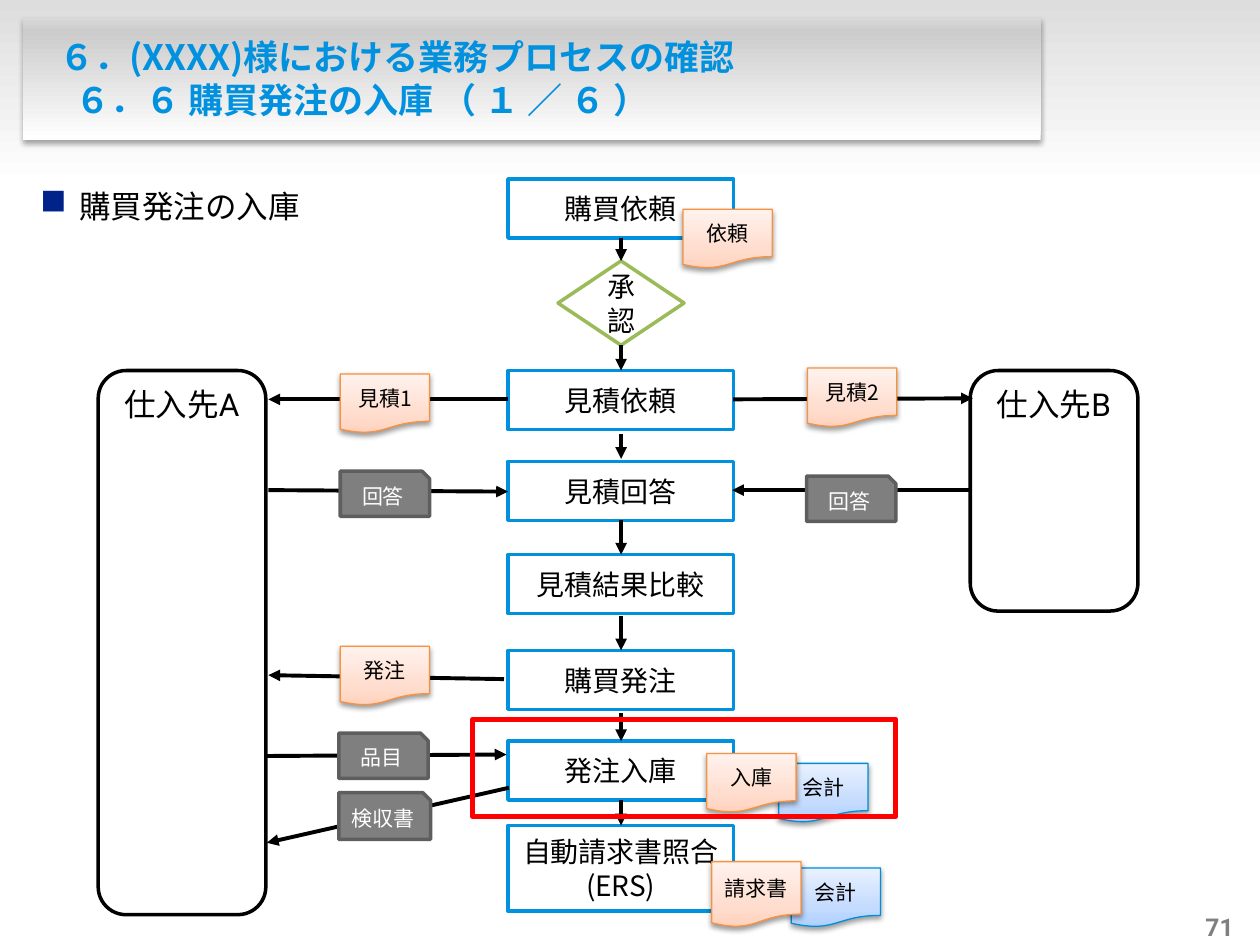
"""Build the purchase-order goods receipt flow slide."""
from dataclasses import dataclass
from typing import Optional

from pptx import Presentation
from pptx.dml.color import RGBColor
from pptx.enum.shapes import MSO_CONNECTOR, MSO_SHAPE
from pptx.enum.text import MSO_ANCHOR, MSO_AUTO_SIZE, PP_ALIGN
from pptx.oxml import parse_xml
from pptx.oxml.ns import nsdecls, qn
from pptx.util import Cm, Pt

BLACK = RGBColor(0x00, 0x00, 0x00)
WHITE = RGBColor(0xFF, 0xFF, 0xFF)
BLUE = RGBColor(0x01, 0x91, 0xDE)
GREEN = RGBColor(0x9B, 0xBB, 0x59)
RED = RGBColor(0xFF, 0x00, 0x00)
NAVY = RGBColor(0x00, 0x22, 0x89)
GRAY = RGBColor(0x7F, 0x7F, 0x7F)
DARK_GRAY = RGBColor(0x5E, 0x5E, 0x5E)
ORANGE = RGBColor(0xF6, 0x92, 0x40)
ACCOUNT_BLUE = RGBColor(0x00, 0x8E, 0xDA)
BAND_STOPS = ((0, RGBColor(0xDD, 0xDD, 0xDD)), (100, WHITE))
PANEL_STOPS = ((0, WHITE), (89, RGBColor(0xCC, 0xCC, 0xCC)), (100, RGBColor(0xD9, 0xD9, 0xD9)))
ORANGE_STOPS = ((0, RGBColor(0xFF, 0xD2, 0xBD)), (35, RGBColor(0xFF, 0xDE, 0xD0)),
                (100, RGBColor(0xFF, 0xF2, 0xED)))
BLUE_STOPS = ((0, RGBColor(0xAD, 0xCF, 0xFF)), (35, RGBColor(0xC5, 0xDC, 0xFF)),
              (100, RGBColor(0xE9, 0xF1, 0xFF)))
JAPANESE_FONT, LATIN_FONT = "Noto Sans CJK JP", "Roboto"
STEP_LEFT, STEP_WIDTH, STEP_HEIGHT, FLOW_CENTER = 10.24, 4.55, 1.19, 12.52


@dataclass(frozen=True)
class Box:
    left: float
    top: float
    width: float
    height: float

    def lengths(self) -> tuple:
        return Cm(self.left), Cm(self.top), Cm(self.width), Cm(self.height)


@dataclass(frozen=True)
class Style:
    preset: MSO_SHAPE
    line: Optional[RGBColor]
    line_width: float = 2
    fill: Optional[RGBColor] = WHITE
    stops: tuple = ()
    angle: int = 270
    shadow_alpha: int = 0
    size: int = 16
    color: RGBColor = BLACK
    anchor: MSO_ANCHOR = MSO_ANCHOR.MIDDLE
    side_margin: float = 0.25


BAND = Style(MSO_SHAPE.RECTANGLE, None, stops=BAND_STOPS, angle=90)
PANEL = Style(MSO_SHAPE.RECTANGLE, None, stops=PANEL_STOPS, shadow_alpha=35)
STEP = Style(MSO_SHAPE.RECTANGLE, BLUE)
DECISION = Style(MSO_SHAPE.FLOWCHART_DECISION, GREEN)
SUPPLIER = Style(MSO_SHAPE.ROUNDED_RECTANGLE, BLACK, size=18, anchor=MSO_ANCHOR.TOP)
DOCUMENT = Style(MSO_SHAPE.FLOWCHART_DOCUMENT, ORANGE, 0.75, stops=ORANGE_STOPS,
                 shadow_alpha=38, size=12, side_margin=0.1)
ACCOUNT = Style(MSO_SHAPE.FLOWCHART_DOCUMENT, ACCOUNT_BLUE, 0.75, stops=BLUE_STOPS,
                shadow_alpha=38, size=12, side_margin=0.1)
TAG = Style(MSO_SHAPE.SNIP_1_RECTANGLE, DARK_GRAY, fill=GRAY, size=12, color=WHITE, side_margin=0.1)
HIGHLIGHT = Style(MSO_SHAPE.RECTANGLE, RED, 3, fill=None)

STEPS = (("購買依頼", 3.61), ("見積依頼", 7.47), ("見積回答", 9.3),
         ("見積結果比較", 11.18), ("購買発注", 13.11), ("発注入庫", 14.94))
DOWN_ARROWS = ((4.8, 5.26), (6.96, 7.47), (8.74, 9.25), (10.49, 11.18),
               (12.42, 13.11), (14.38, 14.94), (16.13, 16.64))
SUPPLIERS = (("A", 1.98, 10.97), ("B", 19.56, 4.85))
SIDE_ARROWS = ((10.24, 8.05, 5.41, 8.05), (10.16, 13.69, 5.41, 13.61),
               (19.56, 9.88, 14.76, 9.88), (5.41, 9.88, 10.24, 9.91),
               (5.38, 15.24, 10.21, 15.21), (10.26, 15.88, 5.38, 16.99),
               (14.78, 8.05, 19.61, 8.03))
ITEMS = (
    (ACCOUNT, "会計", Box(15.95, 17.5, 1.8, 1.19)),
    (ACCOUNT, "会計", Box(15.7, 15.39, 1.8, 1.19)),
    (DOCUMENT, "請求書", Box(14.35, 17.37, 1.8, 1.32)),
    (DOCUMENT, "入庫", Box(14.25, 15.19, 1.8, 1.19)),
    (DOCUMENT, "発注", Box(6.86, 13.03, 1.8, 1.19)),
    (DOCUMENT, "見積1", Box(6.86, 7.54, 1.8, 1.19)),
    (DOCUMENT, "見積2", Box(16.28, 7.42, 1.8, 1.19)),
    (DOCUMENT, "依頼", Box(13.77, 4.22, 1.8, 1.19)),
    (TAG, "回答", Box(6.86, 9.5, 1.8, 0.91)),
    (TAG, "回答", Box(16.26, 9.6, 1.8, 0.91)),
    (TAG, "品目", Box(6.83, 14.78, 1.8, 0.91)),
    (TAG, "検収書", Box(6.83, 15.98, 1.85, 0.94)),
)


def format_run(run, size: float, color: RGBColor, bold: bool = False, font: str = JAPANESE_FONT) -> None:
    run.font.size, run.font.bold, run.font.name = Pt(size), bold, font
    run.font.color.rgb = color
    run.font._element.find(qn("a:latin")).addnext(
        parse_xml(f'<a:ea {nsdecls("a")} typeface="{JAPANESE_FONT}"/>'))


def format_text(frame, size: float, color: RGBColor, align: PP_ALIGN, spacing: float, bold: bool = False) -> None:
    for paragraph in frame.paragraphs:
        paragraph.alignment = align
        paragraph.line_spacing = Pt(spacing)
        for run in paragraph.runs:
            format_run(run, size, color, bold)


def set_gradient(shape, stops: tuple, angle: int) -> None:
    shape.fill.background()
    marks = "".join(f'<a:gs pos="{position * 1000}"><a:srgbClr val="{color}"/></a:gs>'
                    for position, color in stops)
    properties = shape.element.spPr
    properties.replace(properties.find(qn("a:noFill")), parse_xml(
        f'<a:gradFill {nsdecls("a")} rotWithShape="1"><a:gsLst>{marks}</a:gsLst>'
        f'<a:lin ang="{angle * 60000}" scaled="0"/></a:gradFill>'))


def draw_shape(slide, style: Style, box: Box, text: str = ""):
    shape = slide.shapes.add_shape(style.preset, *box.lengths())
    shape.shadow.inherit = False
    if style.stops:
        set_gradient(shape, style.stops, style.angle)
    elif style.fill is None:
        shape.fill.background()
    else:
        shape.fill.solid()
        shape.fill.fore_color.rgb = style.fill
    if style.line is None:
        shape.line.fill.background()
    else:
        shape.line.color.rgb = style.line
        shape.line.width = Pt(style.line_width)
    if style.shadow_alpha:
        shape.element.spPr.find(qn("a:effectLst")).append(parse_xml(
            f'<a:outerShdw {nsdecls("a")} blurRad="{Pt(3.1)}" dist="{Pt(1.7)}" dir="5400000" '
            f'rotWithShape="0"><a:srgbClr val="000000"><a:alpha val="{style.shadow_alpha * 1000}"/>'
            '</a:srgbClr></a:outerShdw>'))
    if text:
        frame = shape.text_frame
        frame.text = text
        frame.vertical_anchor = style.anchor
        frame.margin_left = frame.margin_right = Cm(style.side_margin)
        format_text(frame, style.size, style.color, PP_ALIGN.CENTER, style.size * 1.2)
    return shape


def draw_arrow(slide, left: float, top: float, end_left: float, end_top: float) -> None:
    arrow = slide.shapes.add_connector(MSO_CONNECTOR.STRAIGHT, Cm(left), Cm(top), Cm(end_left), Cm(end_top))
    arrow.line.color.rgb = BLACK
    arrow.line.width = Pt(2.25)
    arrow.line._get_or_add_ln().append(parse_xml(f'<a:tailEnd {nsdecls("a")} type="triangle"/>'))
    arrow.element.spPr.append(parse_xml(f'<a:effectLst {nsdecls("a")}/>'))


def draw_title(slide) -> None:
    panel = draw_shape(slide, PANEL, Box(0.46, 0.36, 20.52, 2.46))
    title = slide.shapes.title
    panel.element.addnext(title.element)
    title.left, title.top, title.width, title.height = Box(0.71, 0.61, 19.96, 1.91).lengths()
    frame = title.text_frame
    frame.text = "６．(XXXX)様における業務プロセスの確認\n６．６ 購買発注の入庫 （ １ ／ ６ ）"
    frame.word_wrap, frame.auto_size = True, MSO_AUTO_SIZE.NONE
    frame.vertical_anchor, frame.margin_left = MSO_ANCHOR.MIDDLE, 0
    for paragraph, indent in zip(frame.paragraphs, (0.48, 0.81)):
        paragraph._p.get_or_add_pPr().set("marL", str(Cm(indent)))
    format_text(frame, 20, BLUE, PP_ALIGN.LEFT, 24.5, True)


def draw_heading(slide) -> None:
    frame = slide.shapes.add_textbox(*Box(0.56, 3.2, 24.51, 14.58).lengths()).text_frame
    frame.text, frame.word_wrap = "購買発注の入庫", True
    properties = frame.paragraphs[0]._p.get_or_add_pPr()
    properties.set("marL", str(Cm(0.79)))
    properties.set("indent", str(-Cm(0.79)))
    for bullet in (f'<a:buClr {nsdecls("a")}><a:srgbClr val="{NAVY}"/></a:buClr>',
                   f'<a:buSzPct {nsdecls("a")} val="113000"/>',
                   f'<a:buChar {nsdecls("a")} char="■"/>'):
        properties.append(parse_xml(bullet))
    format_text(frame, 18, BLACK, PP_ALIGN.LEFT, 34)


def draw_page_number(slide) -> None:
    frame = slide.shapes.add_textbox(*Box(24.03, 18.36, 0.84, 0.61).lengths()).text_frame
    frame.text, frame.word_wrap, frame.vertical_anchor = "71", False, MSO_ANCHOR.BOTTOM
    frame.margin_left = frame.margin_right = frame.margin_top = frame.margin_bottom = 0
    frame.paragraphs[0].alignment = PP_ALIGN.RIGHT
    format_run(frame.paragraphs[0].runs[0], 14, GRAY, True, LATIN_FONT)


def main() -> None:
    presentation = Presentation()
    presentation.slide_width, presentation.slide_height = Cm(25.4), Cm(19.05)
    slide = presentation.slides.add_slide(presentation.slide_layouts[5])
    draw_shape(slide, BAND, Box(0, 0, 25.4, 3.73))
    draw_title(slide)
    draw_page_number(slide)
    draw_heading(slide)
    for text, top in STEPS:
        draw_shape(slide, STEP, Box(STEP_LEFT, top, STEP_WIDTH, STEP_HEIGHT), text)
    draw_shape(slide, STEP, Box(STEP_LEFT, 16.64, STEP_WIDTH, 1.73), "自動請求書照合\n(ERS)")
    draw_shape(slide, DECISION, Box(11.25, 5.26, 2.54, 1.7), "承認")
    for start, end in DOWN_ARROWS:
        draw_arrow(slide, FLOW_CENTER, start, FLOW_CENTER, end)
    for letter, left, height in SUPPLIERS:
        supplier = draw_shape(slide, SUPPLIER, Box(left, 7.47, 3.38, height), "仕入先")
        run = supplier.text_frame.paragraphs[0].add_run()
        run.text = letter
        format_run(run, SUPPLIER.size, BLACK, font=LATIN_FONT)
    for arrow in SIDE_ARROWS:
        draw_arrow(slide, *arrow)
    for style, text, box in ITEMS:
        draw_shape(slide, style, box, text)
    draw_shape(slide, HIGHLIGHT, Box(9.53, 14.5, 8.53, 1.96))
    presentation.save("out.pptx")


if __name__ == "__main__":
    main()
